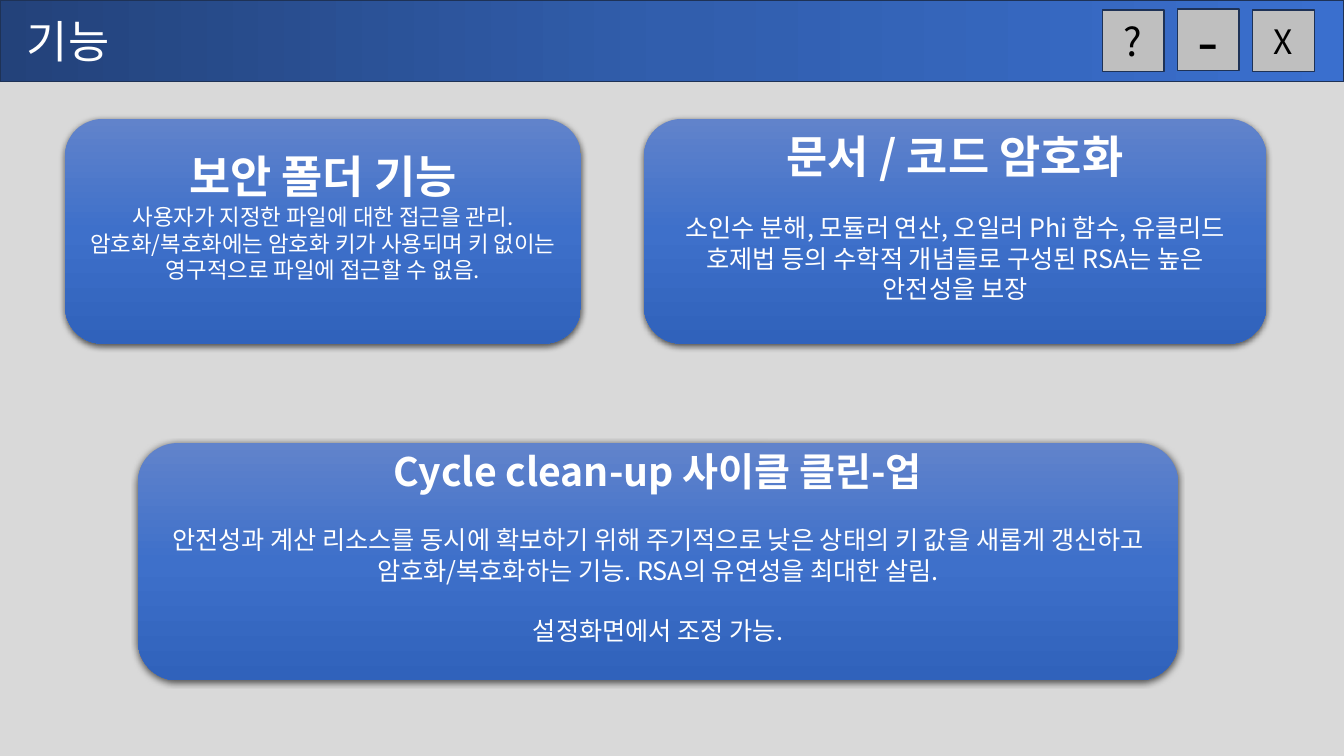
from copy import deepcopy
from dataclasses import dataclass

from lxml import etree
from pptx import Presentation
from pptx.dml.color import RGBColor
from pptx.enum import shapes, text
from pptx.oxml import ns
from pptx.util import Pt


@dataclass(frozen=True)
class Theme:
    background: str = "D9D9D9"
    bar: tuple = ("23427A", "315EAD", "3A6FCE")
    card: tuple = ("6183CB", "3E70CA", "3062BB")
    button: str = "BFBFBF"
    outline: str = "1E3256"
    light: str = "FFFFFF"
    dark: str = "000000"
    ui_font: str = "Noto Sans CJK JP"
    card_font: str = "Noto Sans CJK KR"
    title_size: int = 32
    body_size: int = 18
    line_gap: float = 21.6


class SlideBuilder:
    def __init__(self, prs, theme):
        self.theme = theme
        self.s = prs.slides.add_slide(prs.slide_layouts[6])
        fill = self.s.background.fill
        fill.solid()
        fill.fore_color.rgb = RGBColor.from_string(theme.background)

    def shape(self, kind, box, outlined=True):
        sp = self.s.shapes.add_shape(kind, *map(Pt, box))
        sp.shadow.inherit = False
        if outlined:
            sp.line.color.rgb = RGBColor.from_string(self.theme.outline)
            sp.line.width = Pt(1)
        else:
            sp.line.fill.background()
        return sp

    def gradient(self, sp, colors, angle):
        sp.fill.gradient()
        sp.fill.gradient_angle = angle
        stops = sp.fill._fill._gradFill.find(ns.qn("a:gsLst"))
        stops.insert(1, deepcopy(stops[0]))
        for i, (stop, color) in enumerate(zip(sp.fill.gradient_stops, colors)):
            stop.position = i / 2
            stop.color.rgb = RGBColor.from_string(color)

    def soft_shadow(self, sp):
        effects = sp._element.spPr.find(ns.qn("a:effectLst"))
        shadow = etree.SubElement(effects, ns.qn("a:outerShdw"), blurRad=str(Pt(4.5)),
                                  dist=str(Pt(1.5)), dir="5400000", rotWithShape="0")
        color = etree.SubElement(shadow, ns.qn("a:srgbClr"), val=self.theme.dark)
        etree.SubElement(color, ns.qn("a:alpha"), val="63000")

    def style(self, p, size, color, font, bold=False):
        for r in p.runs:
            r.font.size = Pt(size)
            r.font.bold = bold
            r.font.name = font
            r.font.color.rgb = RGBColor.from_string(color)
            etree.SubElement(r._r.rPr, ns.qn("a:ea"), typeface=font)

    def bar(self, box):
        sp = self.shape(shapes.MSO_SHAPE.RECTANGLE, box)
        self.gradient(sp, self.theme.bar, 0)

    def button(self, box, label, size):
        sp = self.shape(shapes.MSO_SHAPE.RECTANGLE, box)
        sp.fill.solid()
        sp.fill.fore_color.rgb = RGBColor.from_string(self.theme.button)
        tf = sp.text_frame
        tf.text = label
        tf.vertical_anchor = text.MSO_ANCHOR.MIDDLE
        tf.paragraphs[0].alignment = text.PP_ALIGN.CENTER
        self.style(tf.paragraphs[0], size, self.theme.dark, self.theme.ui_font)

    def heading(self, box, label):
        tf = self.s.shapes.add_textbox(*map(Pt, box)).text_frame
        tf.word_wrap = True
        tf.text = label
        self.style(tf.paragraphs[0], self.theme.title_size, self.theme.light, self.theme.ui_font)

    def card(self, box, title, body, title_size, body_size, gap):
        t = self.theme
        sp = self.shape(shapes.MSO_SHAPE.ROUNDED_RECTANGLE, box, outlined=False)
        self.gradient(sp, t.card, 270)
        self.soft_shadow(sp)
        tf = sp.text_frame
        tf.text = "\n".join([title, *body])
        tf.word_wrap = True
        tf.vertical_anchor = text.MSO_ANCHOR.MIDDLE
        tf.margin_bottom = Pt(3.6 + t.line_gap)
        for i, p in enumerate(tf.paragraphs):
            p.alignment = text.PP_ALIGN.CENTER
            p.space_before = Pt(gap if i else 0)
            self.style(p, body_size if i else title_size, t.light, t.card_font, bold=i == 0)


def main():
    theme = Theme()
    prs = Presentation()
    prs.slide_width, prs.slide_height = Pt(960), Pt(540)
    b = SlideBuilder(prs, theme)

    # Title bar with window buttons
    b.bar((0, 0, 960, 58.3))
    for i, (label, size, top) in enumerate([("?", 28, 7.2), ("-", 44, 6.5), ("X", 24, 7.2)]):
        b.button((787.5 + 53.7 * i, top, 44, 44), label, size)
    b.heading((12.2, 6.5, 263, 46), "기능")

    # Feature cards
    b.card((460, 85, 444.5, 160.5), "문서 / 코드 암호화",
           ["소인수 분해, 모듈러 연산, 오일러 Phi 함수, 유클리드 호제법 등의 "
            "수학적 개념들로 구성된 RSA는 높은 안전성을 보장"],
           theme.title_size, theme.body_size, theme.line_gap)
    b.card((46.5, 85, 368.5, 160.5), "보안 폴더 기능",
           ["사용자가 지정한 파일에 대한 접근을 관리.",
            "암호화/복호화에는 암호화 키가 사용되며 키 없이는 영구적으로 파일에 접근할 수 없음."],
           theme.title_size, 16, 0)
    b.card((98.5, 316.5, 743, 169.5), "Cycle clean-up 사이클 클린-업",
           ["안전성과 계산 리소스를 동시에 확보하기 위해 주기적으로 낮은 상태의 키 값을 "
            "새롭게 갱신하고 암호화/복호화하는 기능. RSA의 유연성을 최대한 살림.",
            "설정화면에서 조정 가능."],
           28, theme.body_size, theme.line_gap)

    prs.save("out.pptx")


if __name__ == "__main__":
    main()
